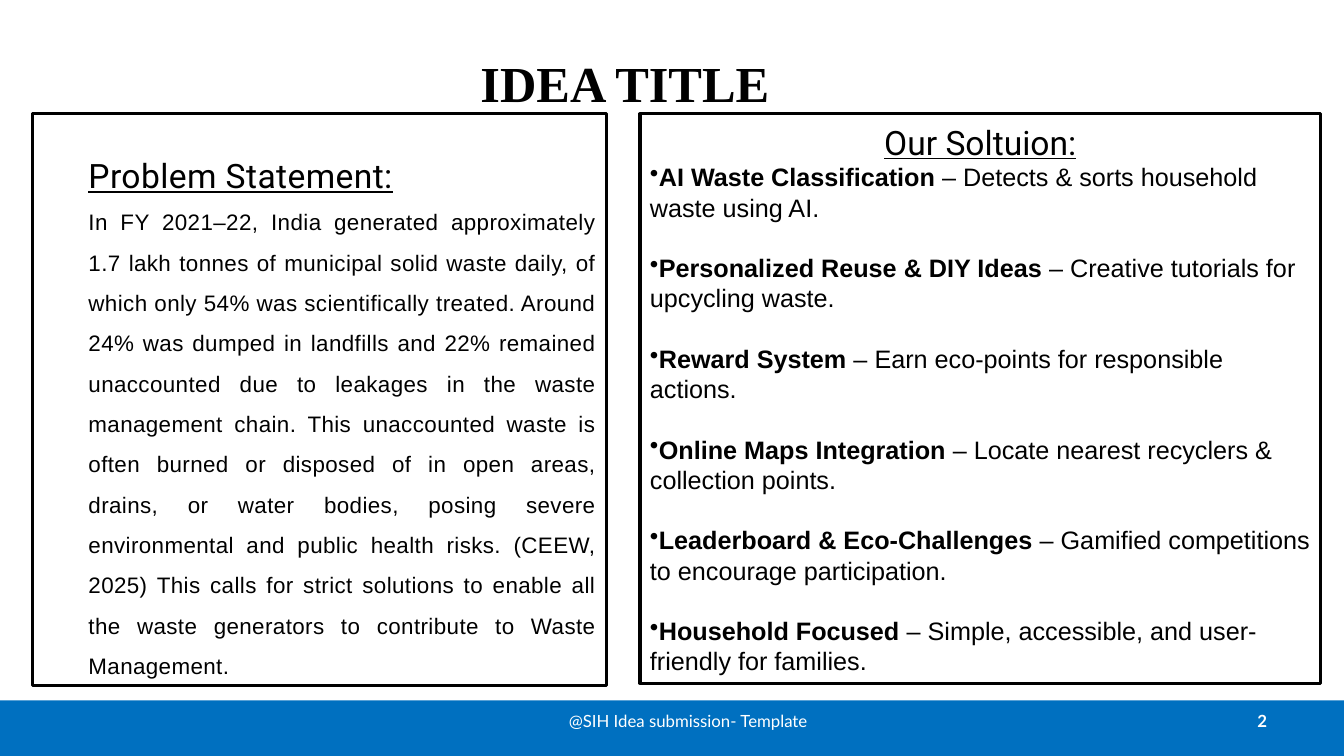
from dataclasses import dataclass

from lxml.etree import SubElement
from pptx import Presentation
from pptx.dml.color import RGBColor
from pptx.enum.shapes import MSO_SHAPE
from pptx.enum.text import MSO_ANCHOR, PP_ALIGN
from pptx.oxml.ns import qn
from pptx.util import Cm, Pt


@dataclass(frozen=True)
class Theme:
    ink: RGBColor = RGBColor(0x00, 0x00, 0x00)
    paper: RGBColor = RGBColor(0xFF, 0xFF, 0xFF)
    band: RGBColor = RGBColor(0x00, 0x70, 0xC0)
    title_font: str = "Times New Roman"
    heading_font: str = "Roboto"
    body_font: str = "Arial"
    footer_font: str = "Lato"
    title_size: float = 36
    heading_size: float = 24
    solution_size: float = 18
    problem_size: float = 16
    footer_size: float = 12
    frame_width: float = 2.25


@dataclass(frozen=True)
class Box:
    left: float
    top: float
    width: float
    height: float

    def lengths(self) -> tuple:
        return Cm(self.left), Cm(self.top), Cm(self.width), Cm(self.height)


@dataclass(frozen=True)
class Feature:
    name: str
    benefit: str


@dataclass(frozen=True)
class FooterNote:
    text: str
    box: Box
    align: PP_ALIGN
    bold: bool = False


THEME = Theme()
LINE_FACTOR = 1.2
PROBLEM_INDENT = Cm(1.17)
PROBLEM_TRACKING = 0.3

TITLE_BOX = Box(0.51, 0, 30.48, 2.49)
BAND_BOX = Box(0, 17.65, 33.87, 1.4)
PROBLEM_BOX = Box(0.81, 2.87, 14.48, 14.4)
SOLUTION_BOX = Box(16.13, 2.87, 17.15, 14.35)

PROBLEM = (
    "In FY 2021–22, India generated approximately 1.7 lakh tonnes of municipal solid "
    "waste daily, of which only 54% was scientifically treated. Around 24% was dumped in "
    "landfills and 22% remained unaccounted due to leakages in the waste management chain. "
    "This unaccounted waste is often burned or disposed of in open areas, drains, or water "
    "bodies, posing severe environmental and public health risks. (CEEW, 2025) This calls "
    "for strict solutions to enable all the waste generators to contribute to Waste "
    "Management."
)
FEATURES = [
    Feature("AI Waste Classification", "Detects & sorts household waste using AI."),
    Feature("Personalized Reuse & DIY Ideas", "Creative tutorials for upcycling waste."),
    Feature("Reward System", "Earn eco-points for responsible actions."),
    Feature("Online Maps Integration", "Locate nearest recyclers & collection points."),
    Feature("Leaderboard & Eco-Challenges",
            "Gamified competitions to encourage participation."),
    Feature("Household Focused", "Simple, accessible, and user-friendly for families."),
]
FOOTER_NOTES = [
    FooterNote("2", Box(24.28, 17.65, 7.9, 1.02), PP_ALIGN.RIGHT, bold=True),
    FooterNote("@SIH Idea submission- Template", Box(12.9, 17.65, 8.89, 1.02),
               PP_ALIGN.CENTER),
]


def write(paragraph, text: str, *, font: str, size: float, color=THEME.ink,
          bold=False, underline=False, tracking=0.0) -> None:
    """Add a formatted run to a paragraph."""
    run = paragraph.add_run()
    run.text = text
    run.font.name = font
    run.font.size = Pt(size)
    run.font.color.rgb = color
    run.font.bold = bold
    run.font.underline = underline
    if tracking:
        run.font._element.set("spc", str(round(tracking * 100)))


def set_indent(paragraph, left: int, bullet: str = "") -> None:
    properties = paragraph._p.get_or_add_pPr()
    properties.set("marL", str(left))
    properties.set("indent", "0")
    if bullet:
        SubElement(properties, qn("a:buChar")).set("char", bullet)


def add_rectangle(slide, box: Box, fill=None, line=None):
    rectangle = slide.shapes.add_shape(MSO_SHAPE.RECTANGLE, *box.lengths())
    rectangle.shadow.inherit = False
    if fill is None:
        rectangle.fill.background()
    else:
        rectangle.fill.solid()
        rectangle.fill.fore_color.rgb = fill
    if line is None:
        rectangle.line.fill.background()
    else:
        rectangle.line.color.rgb = line
        rectangle.line.width = Pt(THEME.frame_width)
    return rectangle


def add_panel(slide, box: Box, anchor: MSO_ANCHOR):
    frame = add_rectangle(slide, box, line=THEME.ink).text_frame
    frame.word_wrap = True
    frame.vertical_anchor = anchor
    return frame


def add_title(slide) -> None:
    title = slide.shapes.title
    title.left, title.top, title.width, title.height = TITLE_BOX.lengths()
    frame = title.text_frame
    frame.vertical_anchor = MSO_ANCHOR.TOP
    frame.margin_top, frame.margin_bottom = Cm(1.32), 0
    paragraph = frame.paragraphs[0]
    paragraph.alignment = PP_ALIGN.CENTER
    write(paragraph, "IDEA TITLE", font=THEME.title_font, size=THEME.title_size, bold=True)


def add_problem(slide) -> None:
    frame = add_panel(slide, PROBLEM_BOX, MSO_ANCHOR.TOP)
    heading, statement = frame.paragraphs[0], frame.add_paragraph()
    for paragraph in (heading, statement):
        set_indent(paragraph, PROBLEM_INDENT)
        paragraph.alignment = PP_ALIGN.JUSTIFY
    heading.line_spacing = Pt(54.5)
    statement.line_spacing = Pt(THEME.problem_size * LINE_FACTOR * 1.5)
    write(heading, "Problem Statement:", font=THEME.heading_font,
          size=THEME.heading_size, underline=True, tracking=PROBLEM_TRACKING)
    write(statement, PROBLEM, font=THEME.body_font, size=THEME.problem_size,
          tracking=PROBLEM_TRACKING)


def add_solution(slide) -> None:
    frame = add_panel(slide, SOLUTION_BOX, MSO_ANCHOR.MIDDLE)
    heading = frame.paragraphs[0]
    heading.alignment = PP_ALIGN.CENTER
    write(heading, "Our Soltuion:", font=THEME.heading_font,
          size=THEME.heading_size, underline=True)
    line_height = Pt(THEME.solution_size * LINE_FACTOR)
    for index, feature in enumerate(FEATURES):
        paragraph = frame.add_paragraph()
        set_indent(paragraph, 0, bullet="•")
        paragraph.alignment = PP_ALIGN.LEFT
        paragraph.line_spacing = line_height
        paragraph.space_before = line_height if index else Pt(0)
        write(paragraph, feature.name, font=THEME.body_font,
              size=THEME.solution_size, bold=True)
        write(paragraph, f" – {feature.benefit}", font=THEME.body_font,
              size=THEME.solution_size)


def add_footer_note(slide, note: FooterNote) -> None:
    frame = slide.shapes.add_textbox(*note.box.lengths()).text_frame
    frame.word_wrap = True
    frame.vertical_anchor = MSO_ANCHOR.MIDDLE
    paragraph = frame.paragraphs[0]
    paragraph.alignment = note.align
    write(paragraph, note.text, font=THEME.footer_font, size=THEME.footer_size,
          color=THEME.paper, bold=note.bold)


def main() -> None:
    presentation = Presentation()
    presentation.slide_width, presentation.slide_height = Cm(33.87), Cm(19.05)
    slide = presentation.slides.add_slide(presentation.slide_layouts[5])
    slide.background.fill.solid()
    slide.background.fill.fore_color.rgb = THEME.paper

    # Title and the two panels
    add_title(slide)
    add_problem(slide)
    add_solution(slide)

    # Footer band with its notes
    add_rectangle(slide, BAND_BOX, fill=THEME.band)
    for note in FOOTER_NOTES:
        add_footer_note(slide, note)

    presentation.save("out.pptx")


if __name__ == "__main__":
    main()
